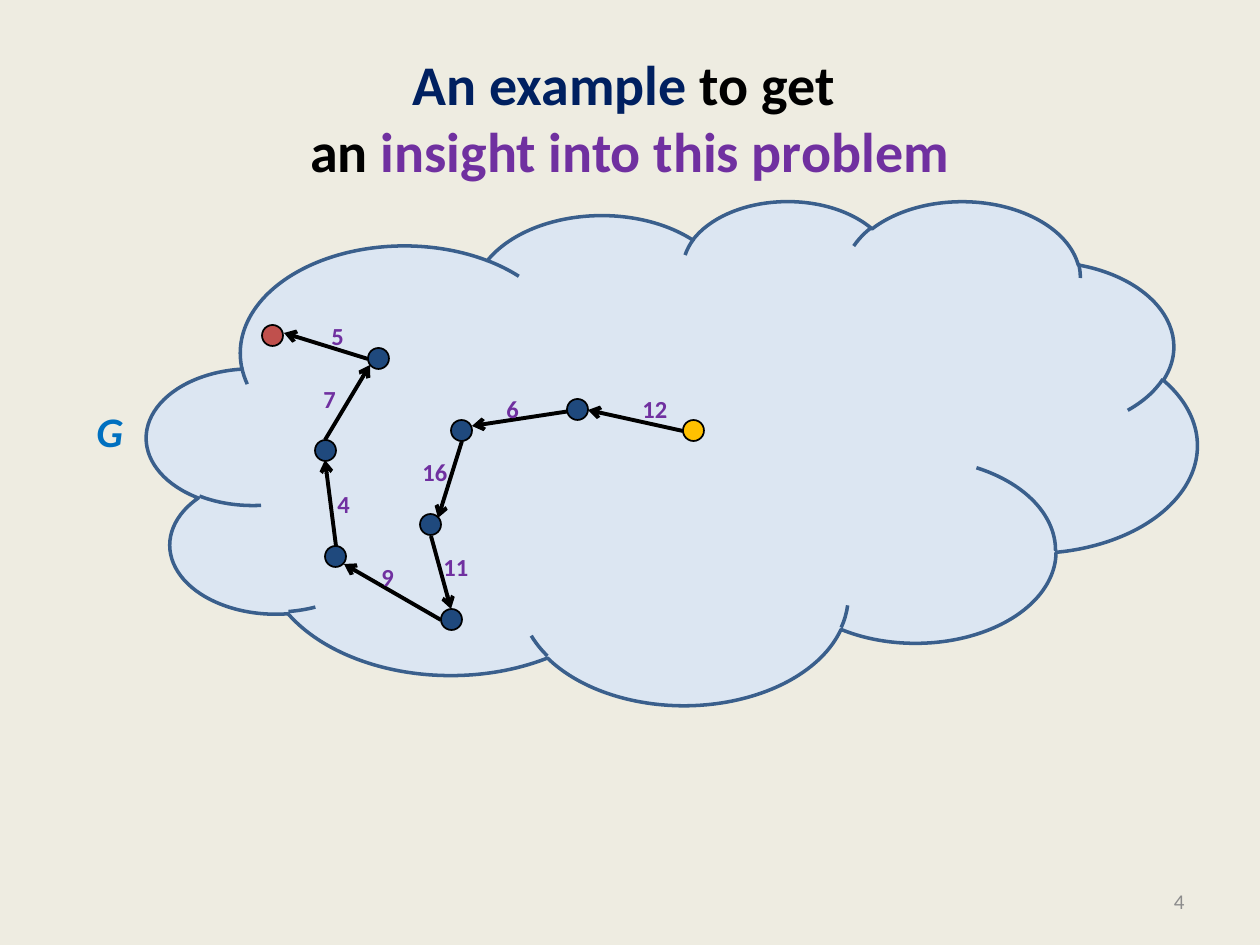
from pptx import Presentation
from pptx.dml.color import RGBColor
from pptx.enum.shapes import MSO_CONNECTOR, MSO_SHAPE
from pptx.enum.text import MSO_ANCHOR, MSO_AUTO_SIZE, PP_ALIGN
from pptx.oxml.ns import qn
from pptx.util import Pt
from lxml import etree

LEFT, CENTER, RIGHT = PP_ALIGN.LEFT, PP_ALIGN.CENTER, PP_ALIGN.RIGHT
TOP, MIDDLE = MSO_ANCHOR.TOP, MSO_ANCHOR.MIDDLE
CLOUD, OVAL, STRAIGHT = MSO_SHAPE.CLOUD, MSO_SHAPE.OVAL, MSO_CONNECTOR.STRAIGHT
GROW, FIXED = MSO_AUTO_SIZE.SHAPE_TO_FIT_TEXT, MSO_AUTO_SIZE.NONE

PX = 914400 / 126
THEME = {
    "background": "EEECE1", "ink": "000000", "navy": "002060", "purple": "7030A0",
    "graph": "0070C0", "muted": "8C8C8C", "cloud": "DCE6F2", "cloud_edge": "3A5F8C",
    "source": "FFC000", "inner": "1F497D", "target": "C0504D",
    "font": "Calibri", "title": 32, "name": 24, "weight": 14, "number": 12,
}


def color(key):
    return RGBColor.from_string(THEME[key])


def add_text(lines, box, size, align=LEFT, anchor=TOP, bold=True, italic=False, wrap=False):
    holder = slide.shapes.add_textbox(*(round(v * PX) for v in box))
    frame = holder.text_frame
    frame.word_wrap = wrap
    frame.auto_size = FIXED if wrap else GROW
    frame.vertical_anchor = anchor
    paragraph = frame.paragraphs[0]
    paragraph.alignment = align
    for index, line in enumerate(lines):
        if index:
            paragraph.add_line_break()
        for words, tint in line:
            run = paragraph.add_run()
            run.text = words
            run.font.name = THEME["font"]
            run.font.size = Pt(THEME[size])
            run.font.bold, run.font.italic = bold, italic
            run.font.color.rgb = color(tint)


prs = Presentation()
prs.slide_width, prs.slide_height = round(1260 * PX), round(945 * PX)
slide = prs.slides.add_slide(prs.slide_layouts[6])
slide.background.fill.solid()
slide.background.fill.fore_color.rgb = color("background")

add_text([[("An example", "navy"), (" to get ", "ink")],
          [("an ", "ink"), ("insight into this problem", "purple")]],
         (63, 38, 1134, 157), "title", align=CENTER, anchor=MIDDLE, wrap=True)
add_text([[("4", "muted")]], (903, 876, 294, 50), "number",
         align=RIGHT, anchor=MIDDLE, bold=False, wrap=True)

cloud = slide.shapes.add_shape(CLOUD, *(round(v * PX) for v in (147, 200, 1050, 504)))
cloud.shadow.inherit = False
cloud.fill.solid()
cloud.fill.fore_color.rgb = color("cloud")
cloud.line.color.rgb = color("cloud_edge")
cloud.line.width = Pt(2)
add_text([[("G", "graph")]], (84, 399, 53, 63), "name", italic=True)

hops = [
    ("12", (683, 431), (588, 410), (630, 388)),
    ("6", (577, 410), (472, 426), (494, 388)),
    ("16", (462, 441), (438, 518), (410, 451)),
    ("11", (431, 536), (451, 609), (431, 546)),
    ("9", (441, 620), (344, 564), (369, 556)),
    ("4", (336, 546), (325, 460), (325, 483)),
    ("7", (325, 440), (370, 365), (311, 378)),
    ("5", (368, 359), (284, 333), (319, 315)),
]
for weight, start, end, label_corner in hops:
    edge = slide.shapes.add_connector(STRAIGHT, *(round(v * PX) for v in start + end))
    edge.line.color.rgb = color("ink")
    edge.line.width = Pt(2.25)
    etree.SubElement(edge.line._get_or_add_ln(), qn("a:tailEnd"), type="arrow")
    etree.SubElement(edge._element.spPr, qn("a:effectLst"))
    label_width = 50 if len(weight) == 2 else 38
    add_text([[(weight, "purple")]], (*label_corner, label_width, 43), "weight")

DIAMETER = 21
vertices = [(683, 420, "source"), (567, 399, "inner"), (451, 420, "inner"),
            (420, 514, "inner"), (441, 609, "inner"), (325, 546, "inner"),
            (315, 440, "inner"), (368, 348, "inner"), (262, 325, "target")]
for x, y, role in vertices:
    vertex = slide.shapes.add_shape(OVAL, *(round(v * PX) for v in (x, y, DIAMETER, DIAMETER)))
    vertex.shadow.inherit = False
    vertex.fill.solid()
    vertex.fill.fore_color.rgb = color(role)
    vertex.line.color.rgb = color("ink")
    vertex.line.width = Pt(1)

prs.save("out.pptx")
